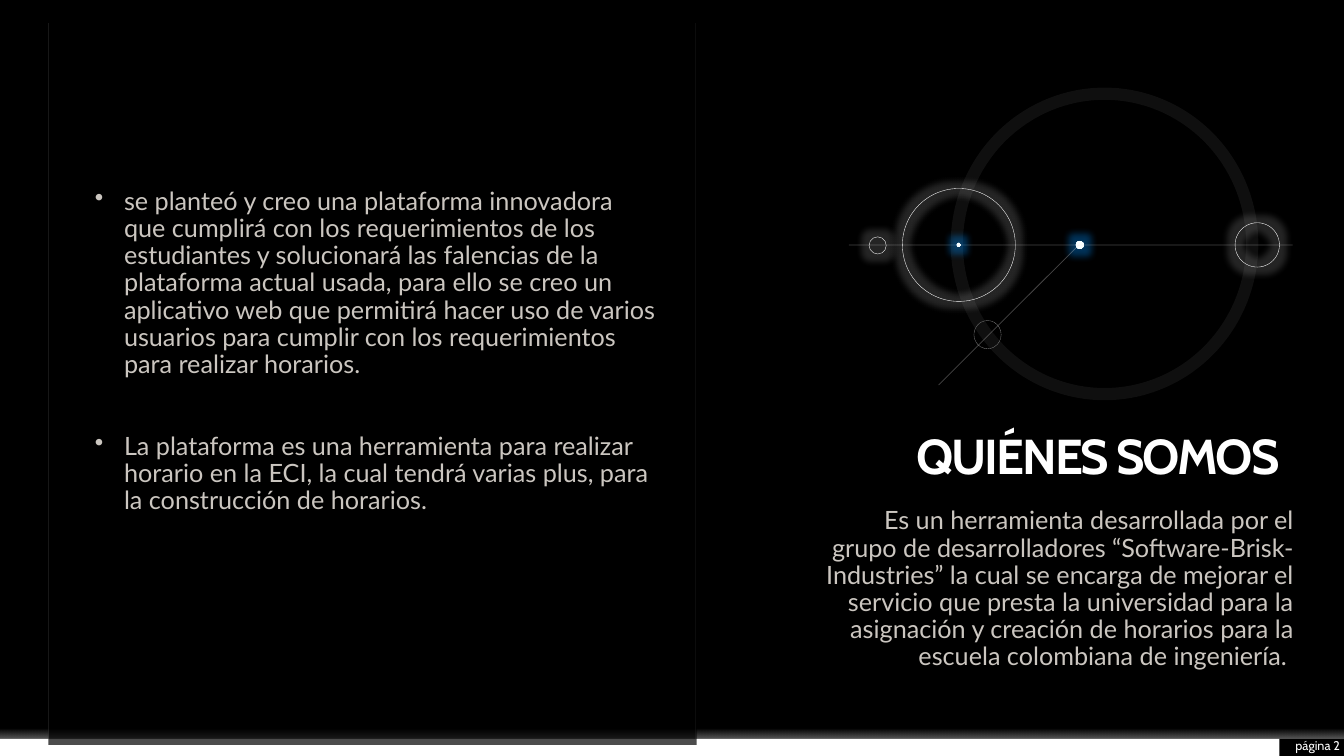
from pptx import Presentation
from pptx.dml.color import RGBColor
from pptx.enum.dml import MSO_LINE
from pptx.enum.shapes import MSO_CONNECTOR, MSO_SHAPE
from pptx.enum.text import MSO_ANCHOR, PP_ALIGN
from pptx.oxml import parse_xml
from pptx.oxml.ns import nsdecls, qn
from pptx.oxml.xmlchemy import OxmlElement
from pptx.util import Inches, Pt

RECT, OVAL = MSO_SHAPE.RECTANGLE, MSO_SHAPE.OVAL
STRAIGHT = MSO_CONNECTOR.STRAIGHT
DASH = MSO_LINE.SQUARE_DOT
TOP, MIDDLE, BOTTOM = MSO_ANCHOR.TOP, MSO_ANCHOR.MIDDLE, MSO_ANCHOR.BOTTOM
LEFT, RIGHT = PP_ALIGN.LEFT, PP_ALIGN.RIGHT

COLORS = {
    "black": "000000", "white": "FFFFFF", "text": "CBC6C0", "rule": "F2F2F2",
    "axis": "E7E6E6", "gray": "808080", "ice": "F7FFFF", "sky": "C1E4FF",
    "blue": "0080E0",
}
AXIS_Y = 2.43
DOT_STOPS = [(0, "white", 100), (65, "ice", 100), (70, "sky", 100)]
FADE_STOPS = [(40, "white", 0), (100, "white", 35)]
DOWN = '<a:lin ang="5400000" scaled="0"/>'
RADIAL = ('<a:path path="circle">'
          '<a:fillToRect l="50000" t="50000" r="50000" b="50000"/></a:path>')

BULLETS = [
    "se planteó y creo una plataforma innovadora que cumplirá con los "
    "requerimientos de los estudiantes y solucionará las falencias de la "
    "plataforma actual usada, para ello se creo un aplicativo web que permitirá "
    "hacer uso de varios usuarios para cumplir con los requerimientos para "
    "realizar horarios.",
    "La plataforma es una herramienta para realizar horario en la ECI, la cual "
    "tendrá varias plus, para la construcción de horarios.",
]
SUMMARY = (
    "Es un herramienta desarrollada por el grupo de desarrolladores "
    "“Software-Brisk-Industries” la cual se encarga de mejorar el servicio que "
    "presta la universidad para la asignación y creación de horarios para la "
    "escuela colombiana de ingeniería. "
)


def rgb(name):
    return RGBColor.from_string(COLORS[name])


def set_alpha(parent, percent):
    """Make every solid colour inside parent partly transparent."""
    for clr in parent.iter(qn("a:srgbClr")):
        alpha = OxmlElement("a:alpha")
        alpha.set("val", str(percent * 1000))
        clr.append(alpha)


def style_line(line, color, width, alpha=100, dash=None):
    line.color.rgb = rgb(color)
    line.width = Pt(width)
    if dash:
        line.dash_style = dash
    if alpha < 100:
        set_alpha(line._ln, alpha)


def add_shape(s, kind, x, y, w, h, fill=None, alpha=100):
    sp = s.shapes.add_shape(kind, Inches(x), Inches(y), Inches(w), Inches(h))
    sp.shadow.inherit = False
    sp.line.fill.background()
    if fill:
        sp.fill.solid()
        sp.fill.fore_color.rgb = rgb(fill)
        if alpha < 100:
            set_alpha(sp._element.spPr, alpha)
    else:
        sp.fill.background()
    return sp


def add_gradient(sp, stops, shade):
    gs = "".join(
        f'<a:gs pos="{pos * 1000}"><a:srgbClr val="{COLORS[color]}">'
        f'<a:alpha val="{alpha * 1000}"/></a:srgbClr></a:gs>'
        for pos, color, alpha in stops)
    spPr = sp._element.spPr
    spPr.replace(spPr.find(qn("a:noFill")), parse_xml(
        f'<a:gradFill {nsdecls("a")}><a:gsLst>{gs}</a:gsLst>{shade}</a:gradFill>'))


def add_glow(sp, color, radius, alpha):
    sp._element.spPr.find(qn("a:effectLst")).append(parse_xml(
        f'<a:glow {nsdecls("a")} rad="{Inches(radius)}">'
        f'<a:srgbClr val="{COLORS[color]}"><a:alpha val="{alpha * 1000}"/>'
        f'</a:srgbClr></a:glow>'))


def add_ring(s, x, y, w, h, color="white", width=0.25, alpha=100, dash=None,
             glow=False):
    sp = add_shape(s, OVAL, x, y, w, h)
    style_line(sp.line, color, width, alpha, dash)
    if glow:
        add_glow(sp, "white", 0.14, 15)


def add_dot(s, x, y, size):
    sp = add_shape(s, OVAL, x, y, size, size)
    add_gradient(sp, DOT_STOPS, RADIAL)
    add_glow(sp, "blue", 0.14, 40)


def add_line(s, x1, y1, x2, y2, color, width, alpha):
    cx = s.shapes.add_connector(STRAIGHT, Inches(x1), Inches(y1),
                                Inches(x2), Inches(y2))
    style_line(cx.line, color, width, alpha)
    cx._element.spPr.append(OxmlElement("a:effectLst"))


def add_bullet(p, indent):
    pPr = p._p.get_or_add_pPr()
    pPr.set("marL", str(Inches(indent)))
    pPr.set("indent", str(-Inches(indent)))
    bu = OxmlElement("a:buChar")
    bu.set("char", "•")
    pPr.append(bu)


def add_text(s, x, y, w, h, paragraphs, size=18, font="Lato", color="text",
             bold=False, align=LEFT, anchor=TOP, line_spacing=0.9, before=10,
             gap=0, bullet=0, tracking=0):
    """Add a text box; gap is extra space in points between paragraphs."""
    tf = s.shapes.add_textbox(Inches(x), Inches(y), Inches(w), Inches(h)).text_frame
    tf.word_wrap = True
    tf.vertical_anchor = anchor
    tf.margin_left = tf.margin_right = tf.margin_top = tf.margin_bottom = 0
    for i, text in enumerate(paragraphs):
        p = tf.add_paragraph() if i else tf.paragraphs[0]
        p.alignment = align
        p.line_spacing = line_spacing
        p.space_before = Pt(before + (gap if i else 0))
        if bullet:
            add_bullet(p, bullet)
        r = p.add_run()
        r.text = text
        r.font.size, r.font.name, r.font.bold = Pt(size), font, bold
        r.font.color.rgb = rgb(color)
        if tracking:
            r._r.get_or_add_rPr().set("spc", str(int(tracking * 100)))


def draw_backdrop(s):
    s.background.fill.solid()
    s.background.fill.fore_color.rgb = rgb("black")
    add_shape(s, RECT, 0, 7.33, 12.69, 0.17, "white")
    fade = add_shape(s, RECT, 0, 7.16, 13.33, 0.17)
    add_gradient(fade, FADE_STOPS, DOWN)
    add_shape(s, RECT, 0.48, 4.26, 6.43, 3.13, "black", alpha=70)
    for x in (6.9, 0.48):
        add_line(s, x, 0.23, x, 7.33, "rule", 0.25, 15)


def draw_orbits(s):
    add_ring(s, 8.95, 1.87, 1.12, 1.12, glow=True)
    add_ring(s, 12.25, 2.21, 0.44, 0.44, glow=True)
    add_dot(s, 10.67, 2.39, 0.08)
    add_ring(s, 9.49, 0.93, 2.93, 2.98, width=8.75, alpha=6)
    add_line(s, 8.42, AXIS_Y, 12.82, AXIS_Y, "axis", 0.5, 30)
    add_dot(s, 9.49, 2.41, 0.04)
    add_ring(s, 9.66, 3.18, 0.27, 0.28, "gray", dash=DASH)
    add_ring(s, 8.62, 2.35, 0.17, 0.17, glow=True)
    add_line(s, 9.31, 3.82, 10.7, AXIS_Y, "axis", 0.5, 30)


def main():
    prs = Presentation()
    prs.slide_width, prs.slide_height = Inches(13.33), Inches(7.5)
    s = prs.slides.add_slide(prs.slide_layouts[6])
    draw_backdrop(s)
    add_text(s, 12.69, 7.31, 0.6, 0.17, ["página 2"], size=9, font="Cabin",
             color="white", align=RIGHT, anchor=MIDDLE, line_spacing=1, before=0)
    add_text(s, 0.94, 1.87, 5.59, 3.25, BULLETS, bullet=0.29, gap=29)
    add_text(s, 7.13, 4.02, 5.56, 0.79, ["QUIÉNES SOMOS"], size=35, font="Cabin",
             color="white", bold=True, align=RIGHT, anchor=BOTTOM, before=0,
             tracking=-1.5)
    add_text(s, 8.18, 5.04, 4.65, 1.74, [SUMMARY], align=RIGHT)
    draw_orbits(s)
    prs.save("out.pptx")


if __name__ == "__main__":
    main()
